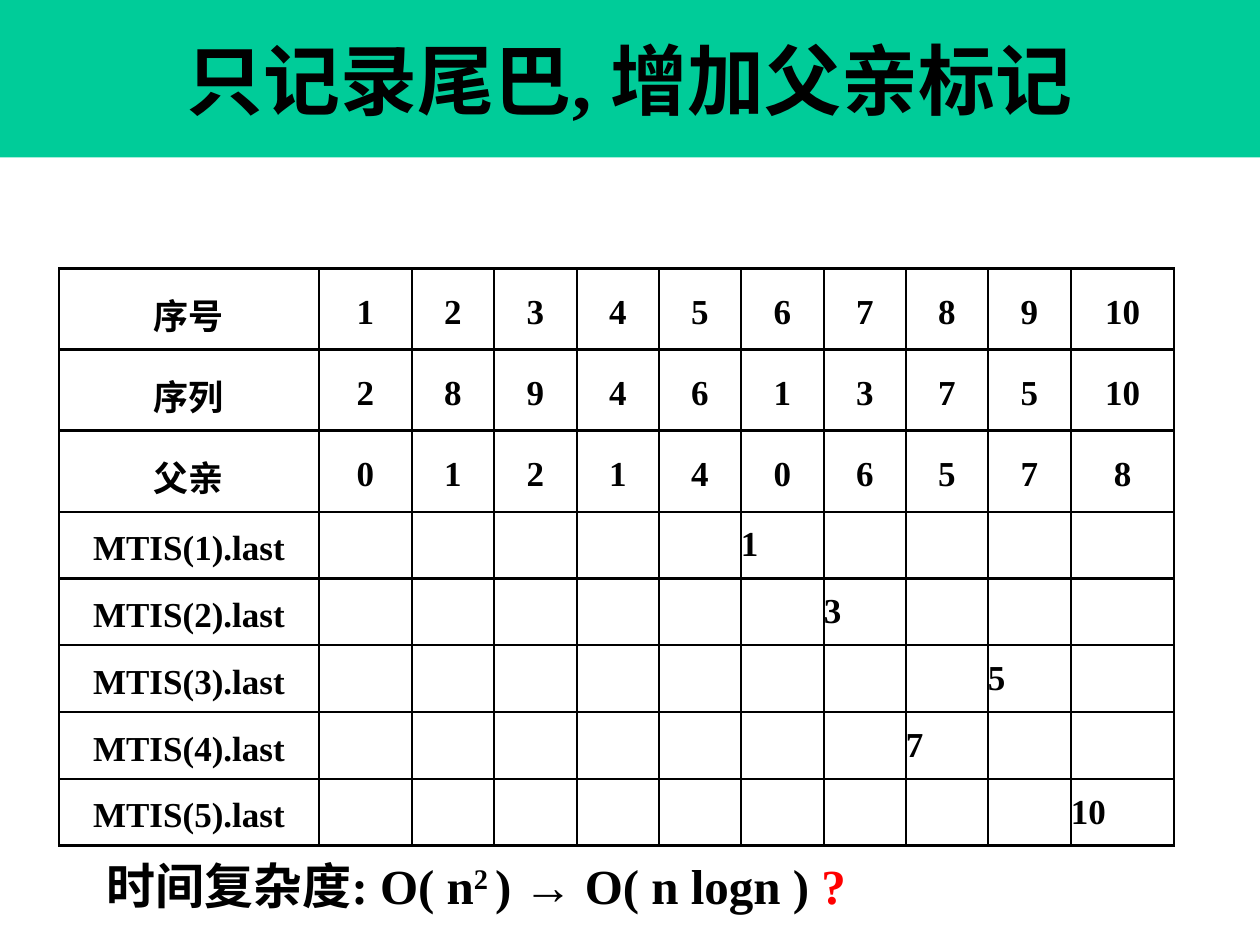
from lxml import etree
from pptx import Presentation
from pptx.dml.color import RGBColor
from pptx.enum import text
from pptx.oxml import ns
from pptx.util import Inches, Pt

GREEN = RGBColor(0x00, 0xCC, 0x99)
BLACK = RGBColor(0x00, 0x00, 0x00)
RED = RGBColor(0xFF, 0x00, 0x00)
FACE = "Times New Roman"


def style(font, size):
    font.name = FACE
    font.size = Pt(size)
    font.bold = True
    font.color.rgb = BLACK


def border(cell):
    """Draw a black line on all four sides of the cell."""
    props = cell._tc.get_or_add_tcPr()
    for spot, side in enumerate(("lnL", "lnR", "lnT", "lnB")):
        line = etree.Element(ns.qn("a:" + side), w=str(Pt(1.5)))
        fill = etree.SubElement(line, ns.qn("a:solidFill"))
        etree.SubElement(fill, ns.qn("a:srgbClr"), val=str(BLACK))
        props.insert(spot, line)


deck = Presentation()
deck.slide_width = Inches(10)
deck.slide_height = Inches(7.5)
slide = deck.slides.add_slide(deck.slide_layouts[5])

# Title band
title = slide.shapes.title
title.left, title.top = Inches(0), Inches(0)
title.width, title.height = Inches(10), Inches(1.25)
title.fill.solid()
title.fill.fore_color.rgb = GREEN
title.text_frame.text = "只记录尾巴, 增加父亲标记"
title.text_frame.vertical_anchor = text.MSO_ANCHOR.MIDDLE
head = title.text_frame.paragraphs[0]
head.alignment = text.PP_ALIGN.CENTER
style(head.font, 44)

# Table: three full rows, then one row per list with its last value
rows = [
    ["序号", 1, 2, 3, 4, 5, 6, 7, 8, 9, 10],
    ["序列", 2, 8, 9, 4, 6, 1, 3, 7, 5, 10],
    ["父亲", 0, 1, 2, 1, 4, 0, 6, 5, 7, 8],
]
full = len(rows)
lasts = [(6, 1), (7, 3), (9, 5), (8, 7), (10, 10)]
for num, (place, value) in enumerate(lasts, 1):
    row = [f"MTIS({num}).last"] + [""] * 10
    row[place] = value
    rows.append(row)

widths = [2.06, 0.74] + [0.65, 0.66, 0.65] * 2 + [0.65, 0.66, 0.82]
frame = slide.shapes.add_table(len(rows), len(widths), Inches(0.47),
                               Inches(2.13), Inches(8.86), Inches(4.56))
table = frame.table
for col, width in zip(table.columns, widths):
    col.width = Inches(width)

for r, row in enumerate(rows):
    table.rows[r].height = Inches(0.64 if r < full else 0.53)
    for c, value in enumerate(row):
        cell = table.cell(r, c)
        cell.fill.background()
        border(cell)
        cell.margin_left = cell.margin_right = Inches(0)
        cell.margin_top = cell.margin_bottom = Inches(0.08)
        cell.vertical_anchor = text.MSO_ANCHOR.MIDDLE
        cell.text = str(value)
        para = cell.text_frame.paragraphs[0]
        style(para.font, 20)
        if r < full or c == 0:
            para.alignment = text.PP_ALIGN.CENTER
            para.line_spacing = 1.2

# Time complexity
note = slide.shapes.add_textbox(Inches(0.75), Inches(6.74),
                                Inches(6.16), Inches(0.57))
note.text_frame.word_wrap = False
note.text_frame.auto_size = text.MSO_AUTO_SIZE.SHAPE_TO_FIT_TEXT
para = note.text_frame.paragraphs[0]
style(para.font, 28)
runs = []
for part in ("时间复杂度: O( n", "2 ", ") → O( n logn ) ", "?"):
    run = para.add_run()
    run.text = part
    runs.append(run)
runs[1].font._element.set("baseline", "30000")
runs[3].font.color.rgb = RED

deck.save("out.pptx")
